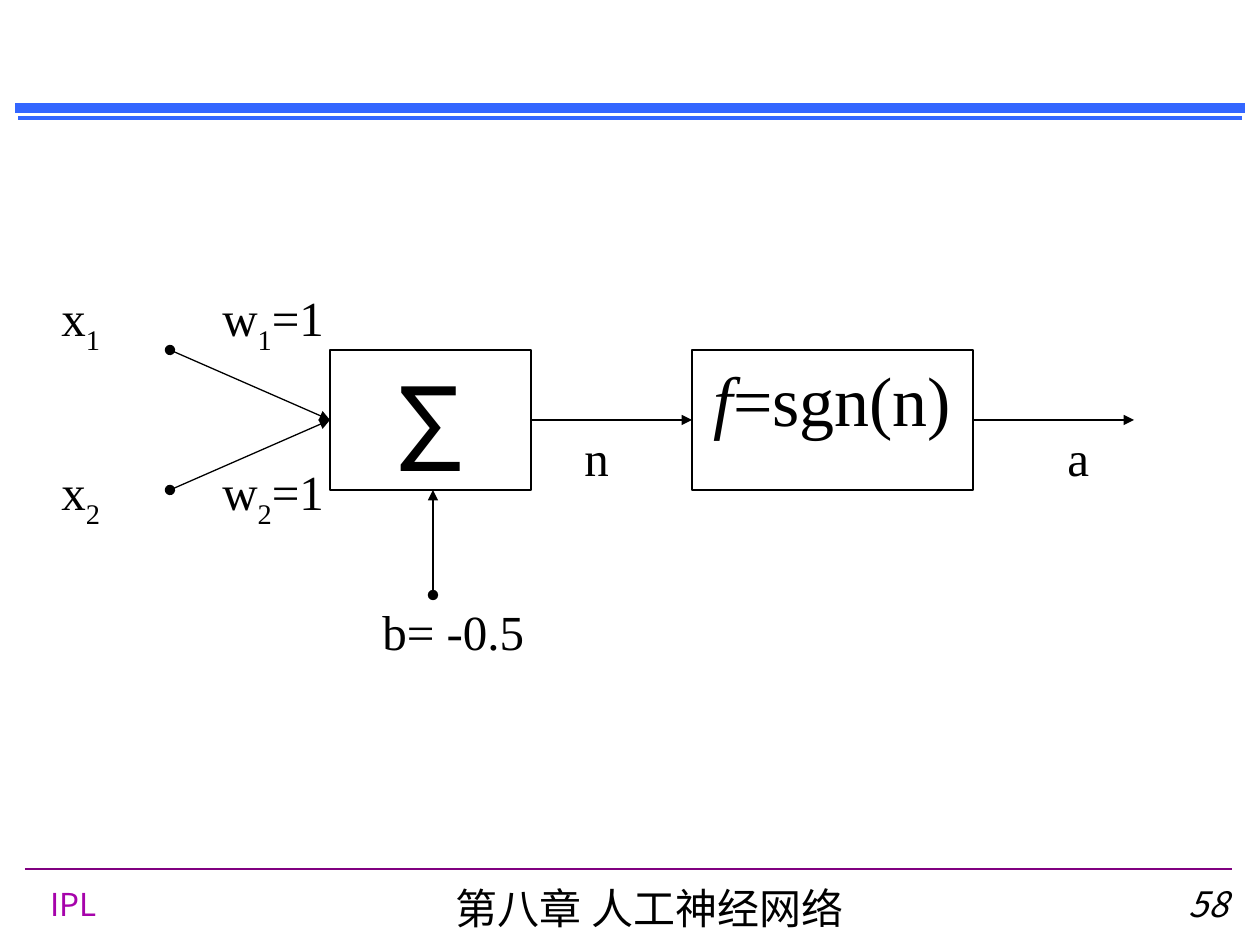
from lxml import etree
from pptx import Presentation
from pptx.dml.color import RGBColor
from pptx.enum import shapes, text
from pptx.oxml.ns import qn
from pptx.util import Pt

EMU_PER_PX = 914400 / 126
THEME = {
    "black": RGBColor(0, 0, 0), "white": RGBColor(255, 255, 255),
    "blue": RGBColor(0x33, 0x66, 0xFF), "purple": RGBColor(0x80, 0, 0x80),
    "violet": RGBColor(0xA6, 0x03, 0xAB),
    "sans": "Noto Sans CJK SC", "serif": "Times New Roman",
    "label": 28, "function": 40, "sum": 66,
    "lab": 18, "number": 20, "chapter": 24,
}
LEFT, CENTER, RIGHT = text.PP_ALIGN.LEFT, text.PP_ALIGN.CENTER, text.PP_ALIGN.RIGHT

presentation = Presentation()
presentation.slide_width = round(1260 * EMU_PER_PX)
presentation.slide_height = round(945 * EMU_PER_PX)
slide = presentation.slides.add_slide(presentation.slide_layouts[6])


def add_line(points, color, width, cap="flat", head=None, tail=None):
    """Draw a straight line; points are x1, y1, x2, y2."""
    line = slide.shapes.add_connector(
        shapes.MSO_CONNECTOR.STRAIGHT, *[round(p * EMU_PER_PX) for p in points])
    line.line.color.rgb = THEME[color]
    line.line.width = Pt(width)
    outline = line.line._get_or_add_ln()
    outline.set("cap", cap)
    for tag, kind in (("a:headEnd", head), ("a:tailEnd", tail)):
        if kind:
            etree.SubElement(outline, qn(tag), type=kind)
    etree.SubElement(line._element.spPr, qn("a:effectLst"))


def add_text(box, runs, size, font="serif", align=LEFT, color="black", framed=False):
    """Write runs of (words, style) in a text box or a framed block."""
    place = [round(b * EMU_PER_PX) for b in box]
    if framed:
        shape = slide.shapes.add_shape(shapes.MSO_SHAPE.RECTANGLE, *place)
        shape.shadow.inherit = False
        shape.fill.solid()
        shape.fill.fore_color.rgb = THEME["white"]
        shape.line.color.rgb = THEME["black"]
        shape.line.width = Pt(0.75)
    else:
        shape = slide.shapes.add_textbox(*place)
    frame = shape.text_frame
    frame.word_wrap = True
    frame.vertical_anchor = text.MSO_ANCHOR.TOP
    paragraph = frame.paragraphs[0]
    paragraph.alignment = align
    for words, style in runs:
        run = paragraph.add_run()
        run.text = words
        run.font.size = Pt(THEME[size])
        run.font.name = THEME[font]
        run.font.color.rgb = THEME[color]
        run.font.italic = style == "italic"
        properties = run._r.get_or_add_rPr()
        etree.SubElement(properties, qn("a:ea"), typeface=THEME[font])
        if style == "sub":
            properties.set("baseline", "-30000")


# Header rules
add_line((20, 118, 1240, 118), "blue", 2, cap="sq")
add_line((20, 108, 1240, 108), "blue", 6, cap="sq")

# Footer
add_line((25, 869, 1232, 869), "purple", 1.5)
add_text((38, 879, 90, 49), [("IPL", "")], "lab", "sans", color="violet")
add_text((364, 876, 571, 63), [("第八章 人工神经网络", "")], "chapter", "sans", CENTER)
add_text((1132, 876, 108, 64), [("58", "italic")], "number", "sans", RIGHT)

# Neuron blocks
add_text((330, 350, 201, 140), [("Σ", "")], "sum", "sans", CENTER, framed=True)
add_text((692, 350, 281, 140), [("f", "italic"), ("=sgn(n)", "")],
         "function", align=CENTER, framed=True)

# Inputs and bias start at a dot, outputs do not
for points, head in (
    ((170, 350, 330, 420), "oval"),
    ((170, 490, 330, 420), "oval"),
    ((433, 595, 433, 490), "oval"),
    ((531, 420, 692, 420), None),
    ((973, 420, 1134, 420), None),
):
    add_line(points, "black", 0.75, head=head, tail="triangle")

# Input and weight labels
for index, top in (("1", 281), ("2", 455)):
    add_text((49, top, 121, 105), [("x", ""), (index, "sub")], "label")
    add_text((210, top, 161, 105), [("w", ""), (index, "sub"), ("=1", "")], "label")

# Signal and bias labels
for words, left, top, width in (
    ("n", 572, 421, 121), ("a", 1055, 421, 121), ("b= -0.5", 370, 595, 200),
):
    add_text((left, top, width, 105), [(words, "")], "label")

presentation.save("out.pptx")
